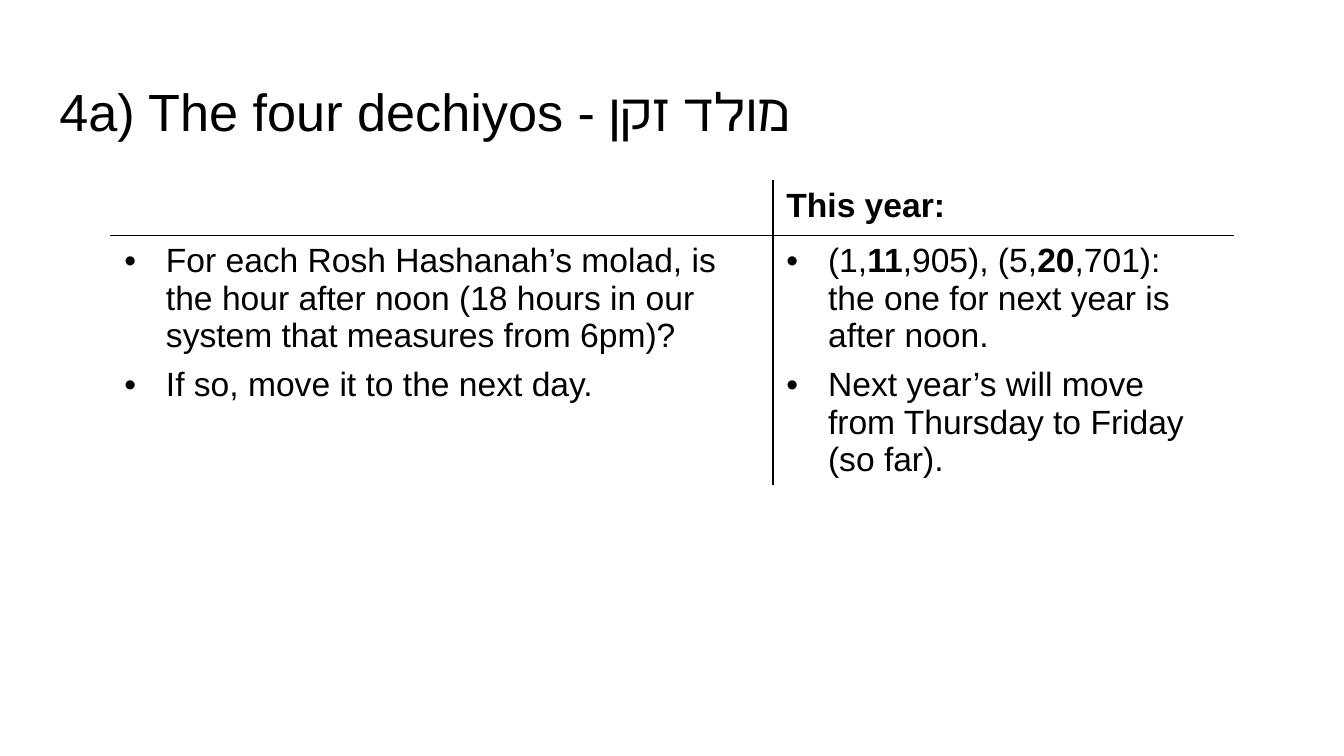
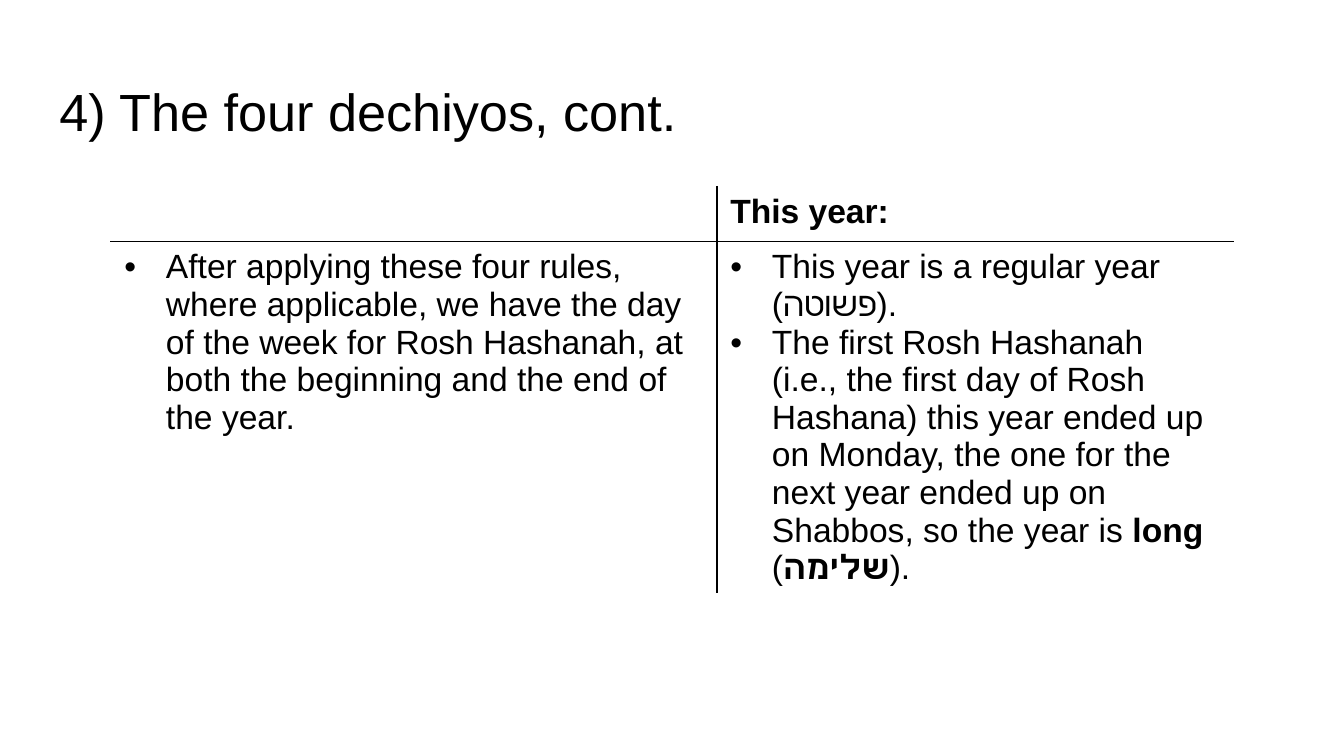
from lxml import etree
from pptx import Presentation
from pptx import util as u
from pptx.dml.color import RGBColor
from pptx.enum import text
from pptx.oxml.ns import qn

WIDTH, HEIGHT = u.Inches(10), u.Emu(u.Inches(90) // 16)
COLUMN, ROW = WIDTH / 100, HEIGHT / 100
FONT, INK, PAPER = "Arial", "000000", "FFFFFF"
TITLE_BOX = (3.41, 8.65, 93.18, 11.13)
TABLE_LEFT, TABLE_WIDTH = 8.25, 83.5
ROW_HEIGHT = u.Inches(0.41)
INDENT = u.Inches(0.31)
TITLE_FRAME = {
    "margin_left": u.Inches(0.1), "margin_right": u.Inches(0.1),
    "margin_top": u.Inches(0.1), "margin_bottom": u.Inches(0.1),
    "word_wrap": True, "auto_size": text.MSO_AUTO_SIZE.NONE,
    "vertical_anchor": text.MSO_ANCHOR.TOP,
}
PLAIN_TABLE = {"first_row": False, "horz_banding": False}

SLIDES = [
    {
        "title": "4a) The four dechiyos - מולד זקן",
        "top": 23.85, "height": 42.49, "split": 0.59, "gap": 6,
        "rule": [
            ["For each Rosh Hashanah’s molad, is the hour after noon "
             "(18 hours in our system that measures from 6pm)?"],
            ["If so, move it to the next day."],
        ],
        "year": [
            ["(1,", "11", ",905), (5,", "20",
             ",701):\nthe one for next year is after noon."],
            ["Next year’s will move from Thursday to Friday (so far)."],
        ],
    },
    {
        "title": "4) The four dechiyos, cont.",
        "top": 24.68, "height": 57.07, "split": 0.54, "gap": 0,
        "rule": [
            ["After applying these four rules, where applicable, we have the day "
             "of the week for Rosh Hashanah, at both the beginning and the end of the year."],
        ],
        "year": [
            ["This year is a regular year (פשוטה)."],
            ["The first Rosh Hashanah (i.e., the first day of Rosh Hashana) this year "
             "ended up on Monday, the one for the next year ended up on Shabbos, "
             "so the year is ", "long", " (", "שלימה", ")."],
        ],
    },
]


def colour(hex_value):
    """Turn a hex string into a colour."""
    return RGBColor.from_string(hex_value)


def apply(target, values):
    """Set each attribute of a dict on the target."""
    for name, value in values.items():
        setattr(target, name, value)


def add_solid(parent, tag, hex_value):
    """Append an element that holds a plain colour."""
    holder = etree.SubElement(parent, qn(tag))
    etree.SubElement(holder, qn("a:srgbClr"), val=hex_value)


def add_run(paragraph, words, size, bold=False):
    """Append one formatted run."""
    run = paragraph.add_run()
    run.text = words
    apply(run.font, {"name": FONT, "size": u.Pt(size), "bold": bold})
    run.font.color.rgb = colour(INK)


def add_bullet(paragraph):
    """Give a paragraph a round bullet with a hanging indent."""
    properties = paragraph._p.get_or_add_pPr()
    properties.set("marL", str(INDENT))
    properties.set("indent", str(-INDENT))
    add_solid(properties, "a:buClr", INK)
    etree.SubElement(properties, qn("a:buFont"), typeface=FONT)
    etree.SubElement(properties, qn("a:buChar"), char="•")


def fill_bullets(cell, items, gap):
    """Write bulleted items whose every second run is bold."""
    frame = cell.text_frame
    for index, pieces in enumerate(items):
        paragraph = frame.add_paragraph() if index else frame.paragraphs[0]
        add_bullet(paragraph)
        paragraph.space_before = u.Pt(gap if index else 0)
        for position, piece in enumerate(pieces):
            for number, line in enumerate(piece.split("\n")):
                if number:
                    paragraph.add_line_break()
                add_run(paragraph, line, 18, position % 2 == 1)


def style_cell(cell, row, column):
    """Rule the inner edges in ink and leave the outer edges blank."""
    inner = {"a:lnL": column == 1, "a:lnR": column == 0,
             "a:lnT": row == 1, "a:lnB": row == 0}
    properties = cell._tc.get_or_add_tcPr()
    for tag, inked in inner.items():
        line = etree.SubElement(properties, qn(tag), w=str(u.Pt(1)))
        add_solid(line, "a:solidFill", INK if inked else PAPER)
    cell.fill.background()
    cell.margin_right = u.Inches(0.13)


def add_title(slide, words, box):
    """Place the title placeholder in a box given in grid columns and rows."""
    left, top, width, height = box
    title = slide.shapes.title
    apply(title, {"left": int(COLUMN * left), "top": int(ROW * top),
                  "width": int(COLUMN * width), "height": int(ROW * height)})
    apply(title.text_frame, TITLE_FRAME)
    paragraph = title.text_frame.paragraphs[0]
    paragraph.alignment = text.PP_ALIGN.LEFT
    add_run(paragraph, words, 28)


def add_rule_table(slide, content):
    """Set the general rule beside its result for this year."""
    width, height = int(COLUMN * TABLE_WIDTH), int(ROW * content["height"])
    frame = slide.shapes.add_table(
        2, 2, int(COLUMN * TABLE_LEFT), int(ROW * content["top"]), width, height)
    table = frame.table
    apply(table, PLAIN_TABLE)
    for column, share in enumerate((content["split"], 1 - content["split"])):
        table.columns[column].width = int(width * share)
    for row in range(2):
        table.rows[row].height = ROW_HEIGHT
        for column in range(2):
            style_cell(table.cell(row, column), row, column)
    frame.height = height
    add_run(table.cell(0, 1).text_frame.paragraphs[0], "This year:", 18, True)
    for column, key in enumerate(("rule", "year")):
        fill_bullets(table.cell(1, column), content[key], content["gap"])


def main():
    """Build and save the presentation."""
    presentation = Presentation()
    apply(presentation, {"slide_width": WIDTH, "slide_height": HEIGHT})
    for content in SLIDES:
        slide = presentation.slides.add_slide(presentation.slide_layouts[5])
        add_title(slide, content["title"], TITLE_BOX)
        add_rule_table(slide, content)
    presentation.save("out.pptx")


if __name__ == "__main__":
    main()
